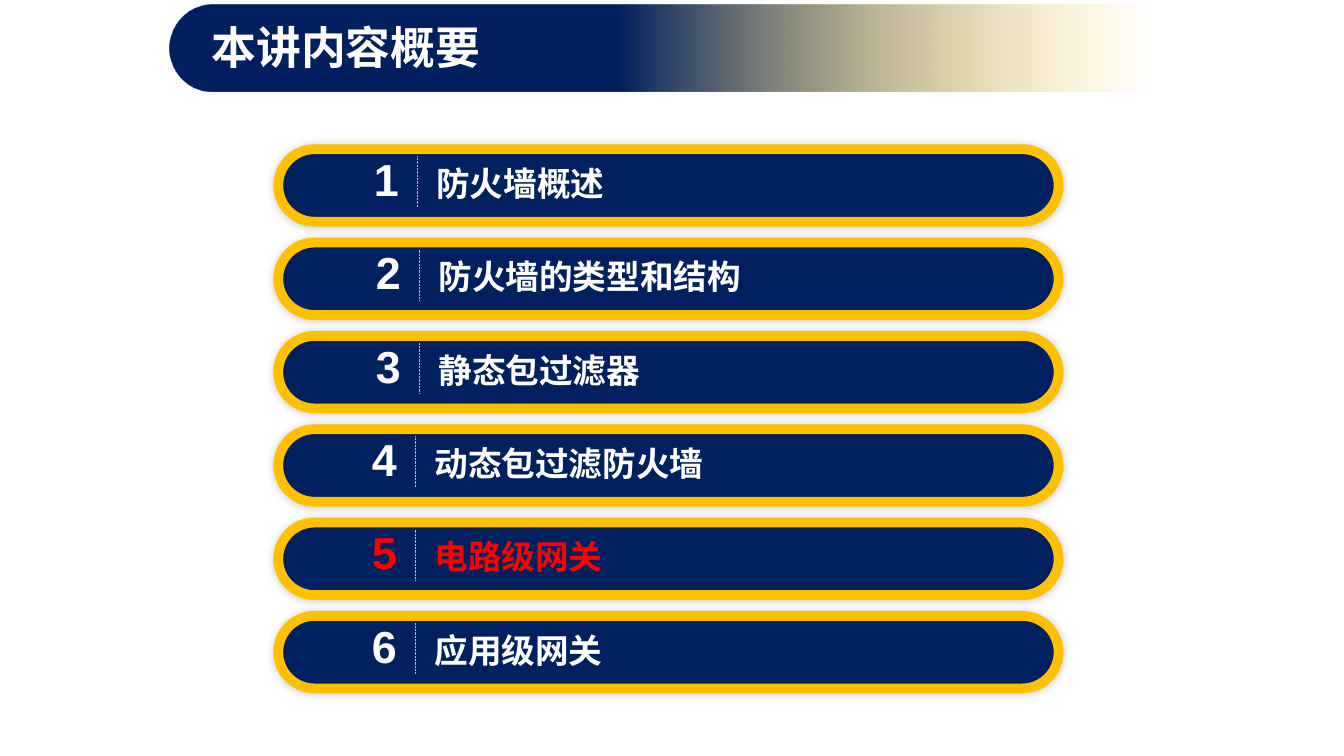
from pptx import Presentation, util as u
from pptx.dml.color import RGBColor
from pptx.enum import dml, shapes, text
from pptx.oxml import parse_xml
from pptx.oxml.ns import nsdecls

NAVY, GOLD, WHITE, RED = "002060", "FFC000", "FFFFFF", "FF0000"
CJK = "Noto Sans CJK SC"
NUM = {"size": u.Pt(32), "name": "Arial", "bold": True}
ITEM = {"size": u.Pt(24), "name": CJK, "bold": True}
HEAD = {"size": u.Pt(32), "name": CJK, "bold": True}


def tint(fmt, hue):
    fmt.rgb = RGBColor.from_string(hue)


def write(para, words, style, hue):
    run = para.add_run()
    run.text = words
    for key, val in style.items():
        setattr(run.font, key, val)
    tint(run.font.color, hue)
    run.font._element.append(parse_xml(
        f'<a:ea {nsdecls("a")} typeface="{style["name"]}"/>'))


deck = Presentation()
deck.slide_width, deck.slide_height = u.Inches(13.33), u.Inches(7.5)
slide = deck.slides.add_slide(deck.slide_layouts[6])

# Title band, fading to clear on the right
group = slide.shapes.add_group_shape().shapes
band = group.add_shape(shapes.MSO_SHAPE.ROUNDED_RECTANGLE, u.Inches(1.68),
                       u.Inches(0.05), u.Inches(10.55), u.Inches(0.86))
band.adjustments[0] = 0.5
band.shadow.inherit = False
band.line.fill.background()
band.fill.gradient()
band.fill.gradient_angle = 0
for stop, (place, hue) in zip(band.fill.gradient_stops,
                              [(0.42, NAVY), (0.92, GOLD)]):
    stop.position = place
    tint(stop.color, hue)
clear = band._element.spPr.findall(".//{*}srgbClr")[-1]
clear.append(parse_xml(f'<a:alpha {nsdecls("a")} val="0"/>'))

box = group.add_textbox(u.Inches(2), u.Inches(0.15), u.Inches(3.26), u.Inches(0.64))
box.text_frame.word_wrap = True
write(box.text_frame.paragraphs[0], "本讲内容概要", HEAD, WHITE)

# Agenda rows: label, text left, text width, colour
rows = [
    ("防火墙概述", 3.61, 2.58, WHITE),
    ("防火墙的类型和结构", 3.63, 5.05, WHITE),
    ("静态包过滤器", 3.63, 2.91, WHITE),
    ("动态包过滤防火墙", 3.59, 3.59, WHITE),
    ("电路级网关", 3.59, 2.58, RED),
    ("应用级网关", 3.59, 2.58, WHITE),
]
for i, (label, left, wide, hue) in enumerate(rows):
    top = 1.48 + i * 0.926
    group = slide.shapes.add_group_shape().shapes

    # Pill with a soft shadow
    pill = group.add_shape(shapes.MSO_SHAPE.ROUNDED_RECTANGLE, u.Inches(2.76),
                           u.Inches(top), u.Inches(7.74), u.Inches(0.72))
    pill.adjustments[0] = 0.5
    pill.fill.solid()
    tint(pill.fill.fore_color, NAVY)
    tint(pill.line.color, GOLD)
    pill.line.width = u.Pt(7)
    pill.shadow.inherit = False
    pill._element.spPr.find("{*}effectLst").append(parse_xml(
        f'<a:outerShdw {nsdecls("a")} blurRad="{u.Pt(6)}" dist="0" dir="18900000">'
        '<a:srgbClr val="000000"><a:alpha val="20000"/></a:srgbClr></a:outerShdw>'))

    # Number and label, set apart by a tab stop
    box = group.add_textbox(u.Inches(left), u.Inches(top - 0.03),
                            u.Inches(wide), u.Inches(0.64))
    frame = box.text_frame
    frame.word_wrap = True
    frame.vertical_anchor = text.MSO_ANCHOR.MIDDLE
    para = frame.paragraphs[0]
    para._p.get_or_add_pPr().append(parse_xml(
        f'<a:tabLst {nsdecls("a")}><a:tab pos="{u.Inches(0.62)}" algn="l"/></a:tabLst>'))
    write(para, str(i + 1), NUM, hue)
    write(para, "\t" + label, ITEM, hue)

    # Dotted divider
    x = u.Inches(left + 0.53)
    rule = group.add_connector(shapes.MSO_CONNECTOR.STRAIGHT, x,
                               u.Inches(top + 0.07), x, u.Inches(top + 0.57))
    tint(rule.line.color, GOLD)
    rule.line.width = u.Pt(0.5)
    rule.line.dash_style = dml.MSO_LINE.ROUND_DOT
    rule._element.spPr.append(parse_xml(f'<a:effectLst {nsdecls("a")}/>'))

deck.save("out.pptx")
